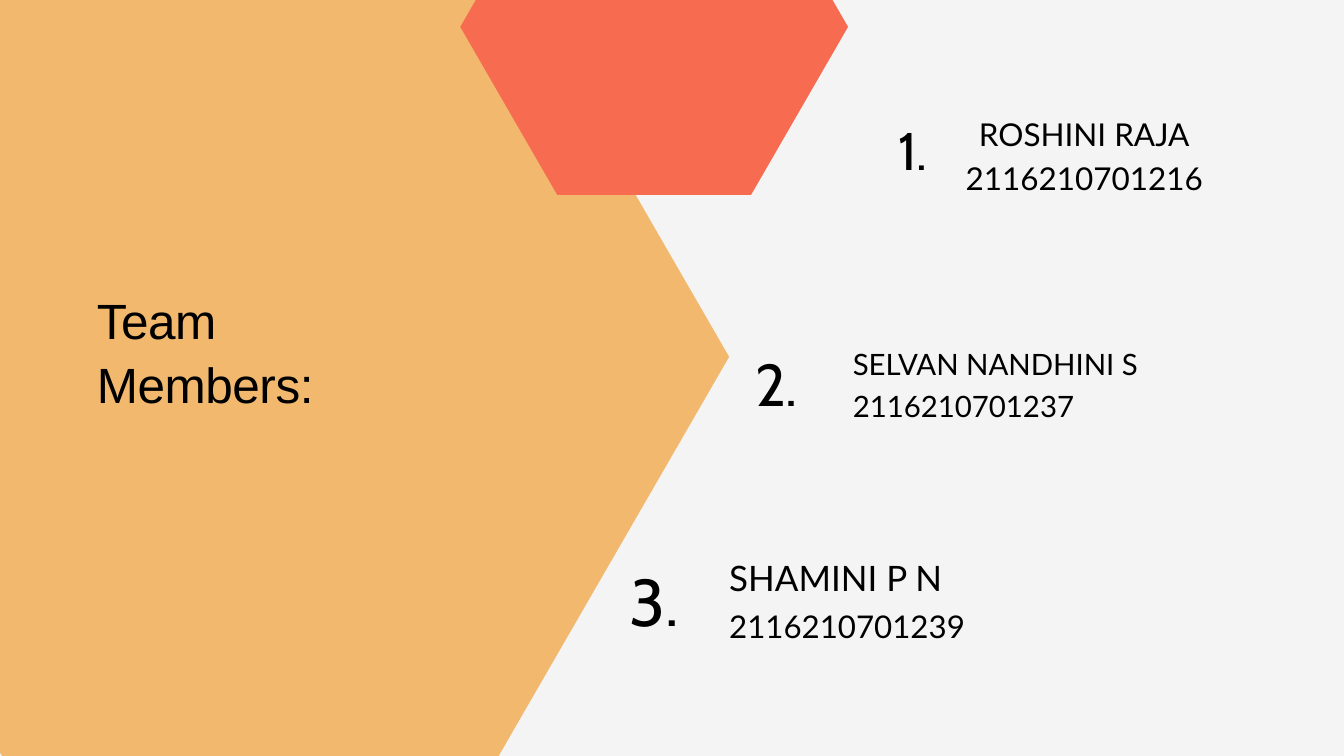
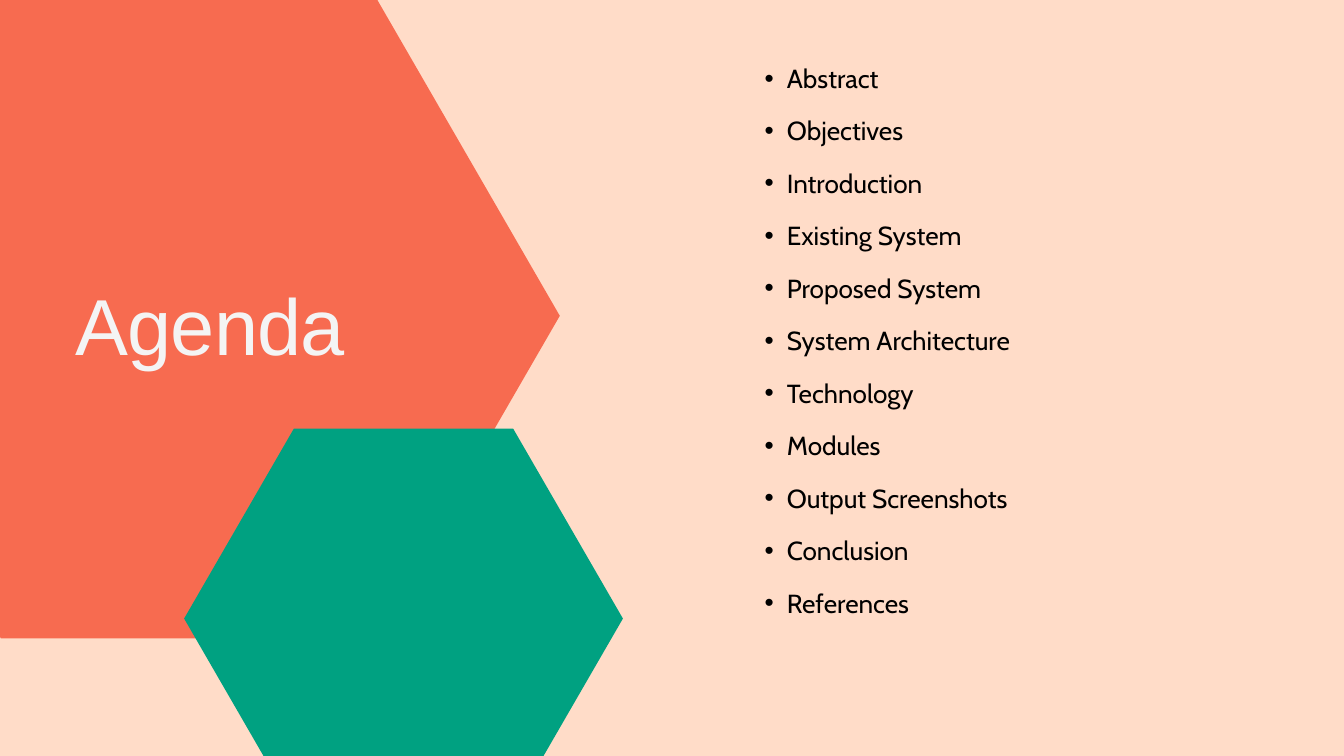
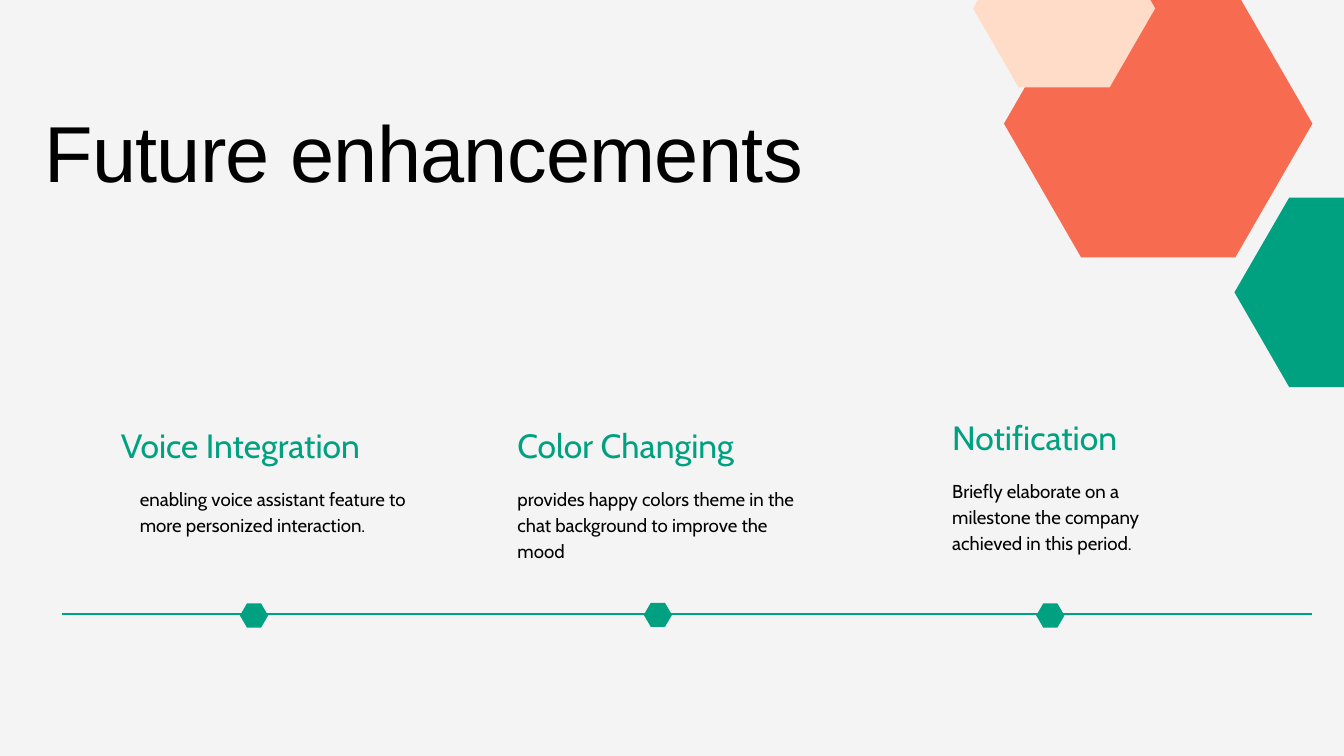
from lxml.etree import SubElement
from pptx import Presentation
from pptx.dml.color import RGBColor
from pptx.enum.shapes import MSO_CONNECTOR, MSO_SHAPE
from pptx.enum.text import PP_ALIGN
from pptx.oxml.ns import qn
from pptx.util import Inches, Pt

GREY, PEACH, SAND = "F4F4F4", "FFDCC8", "F1B86E"
CORAL, GREEN, BLACK = "F76B50", "00A181", "000000"
HEAD, BODY, NAMES = "Arial", "Cabin", "Lato"

# number: (text, left, top, width, height, size)
NUMBERS = [
    ("1.", 12.11, 1.59, 2.95, 1.06, 56.7),
    ("2.", 10.31, 4.99, 2.49, 1.18, 63.3),
    ("3.", 8.89, 8.15, 1.7, 1.33, 70.8),
]
# member: (lines, left, top, width, height, size, centred)
MEMBERS = [
    (["ROSHINI RAJA", "2116210701216"], 13.78, 1.62, 4.71, 1.27, 33.7, True),
    (["SELVAN NANDHINI S 2116210701237"], 12.69, 5.07, 5.46, 1.18, 31.5, False),
    (["SHAMINI P N"], 10.85, 8.17, 6.58, 0.69, 37.5, False),
    (["2116210701239"], 10.85, 8.95, 6.58, 0.61, 33.5, False),
]
AGENDA = [
    "Abstract", "Objectives", "Introduction", "Existing System",
    "Proposed System", "System Architecture", "Technology", "Modules",
    "Output Screenshots", "Conclusion", "References",
]
# plan: (name, detail, name left, detail left, top, width, marker left, marker top)
PLANS = [
    ("Voice Integration",
     "enabling voice assistant feature to more personized interaction.",
     1.8, 2.08, 6.32, 4.18, 3.57, 8.98),
    ("Color Changing",
     "provides happy colors theme in the chat background to improve the mood",
     7.7, 7.7, 6.32, 4.18, 9.58, 8.97),
    ("Notification",
     "Briefly elaborate on a milestone the company achieved in this period.",
     14.17, 14.17, 6.2, 3.68, 15.42, 8.98),
]


def rgb(code):
    return RGBColor.from_string(code)


def new_slide(deck, back):
    slide = deck.slides.add_slide(deck.slide_layouts[6])
    slide.background.fill.solid()
    slide.background.fill.fore_color.rgb = rgb(back)
    return slide


def add_hex(slide, left, top, width, height, color):
    """Hexagon whose slanted sides each take a quarter of its width."""
    shape = slide.shapes.add_shape(
        MSO_SHAPE.HEXAGON, *map(Inches, (left, top, width, height)))
    shape.adjustments[0] = width / 4 / height
    shape.shadow.inherit = False
    shape.fill.solid()
    shape.fill.fore_color.rgb = rgb(color)
    shape.line.fill.background()


def add_text(slide, lines, left, top, width, height, size, font=BODY,
             color=BLACK, lead=1.4, center=False, track=0, bullet=False, gap=0):
    """Text box; lead is line spacing over size, track is hundredths of a point."""
    box = slide.shapes.add_textbox(*map(Inches, (left, top, width, height)))
    frame = box.text_frame
    frame.word_wrap = True
    frame.margin_left = frame.margin_right = 0
    frame.margin_top = frame.margin_bottom = 0
    for i, line in enumerate(lines):
        para = frame.add_paragraph() if i else frame.paragraphs[0]
        run = para.add_run()
        run.text = line
        para.line_spacing = Pt(size * lead)
        if i and gap:
            para.space_before = Pt(gap)
        if center:
            para.alignment = PP_ALIGN.CENTER
        if bullet:
            props = para._p.get_or_add_pPr()
            props.set("marL", str(Inches(0.66)))
            props.set("indent", str(Inches(-0.33)))
            SubElement(props, qn("a:buFont"), typeface="Arial")
            SubElement(props, qn("a:buChar"), char="•")
        if track:
            run._r.get_or_add_rPr().set("spc", str(track))
        para.font.size = Pt(size)
        para.font.name = font
        para.font.color.rgb = rgb(color)


def add_title(slide, text, left, top, width, color=BLACK):
    add_text(slide, [text], left, top, width, 1.41, 85, HEAD, color,
             lead=1.2, track=-80)


def add_line(slide, left, right, y, color):
    line = slide.shapes.add_connector(
        MSO_CONNECTOR.STRAIGHT, *map(Inches, (left, y, right, y)))
    line.line.color.rgb = rgb(color)
    line.line.width = Pt(1.5)
    SubElement(line._element.spPr, qn("a:effectLst"))


def team(deck):
    slide = new_slide(deck, GREY)
    add_hex(slide, -3.4, -0.86, 14.25, 12.34, SAND)
    add_hex(slide, 6.85, -2.1, 5.77, 5, CORAL)
    add_text(slide, ["Team Members:"], 1.44, 4.24, 5.09, 1.93, 53, HEAD,
             lead=1.3, track=-50)
    for text, *place in NUMBERS:
        add_text(slide, [text], *place, center=True)
    for lines, *place, center in MEMBERS:
        add_text(slide, lines, *place, font=NAMES, center=center)


def agenda(deck):
    slide = new_slide(deck, PEACH)
    add_hex(slide, -2.76, -0.1, 11.09, 9.6, CORAL)
    add_hex(slide, 2.74, 6.38, 6.53, 5.65, GREEN)
    add_title(slide, "Agenda", 1.12, 4.11, 4.88, GREY)
    add_text(slide, AGENDA, 11.05, 0.85, 6.68, 8.34, 28, bullet=True, gap=17)


def future(deck):
    slide = new_slide(deck, GREY)
    add_hex(slide, 18.37, 2.94, 3.26, 2.82, GREEN)
    add_hex(slide, 14.94, -0.15, 4.59, 3.98, CORAL)
    add_hex(slide, 14.48, -1.05, 2.71, 2.35, PEACH)
    add_title(slide, "Future enhancements", 0.66, 1.53, 14.49)
    add_line(slide, 0.92, 19.53, 9.14, GREEN)
    for name, detail, left, inset, top, width, mark, level in PLANS:
        add_text(slide, [name], left, top, width, 0.59, 36, color=GREEN, lead=1.2)
        add_text(slide, [detail], inset, top + 0.88, width, 1.14, 20)
        add_hex(slide, mark, level, 0.42, 0.36, GREEN)


def main():
    deck = Presentation()
    deck.slide_width, deck.slide_height = Inches(20), Inches(11.25)
    for build in (team, agenda, future):
        build(deck)
    deck.save("out.pptx")


if __name__ == "__main__":
    main()
